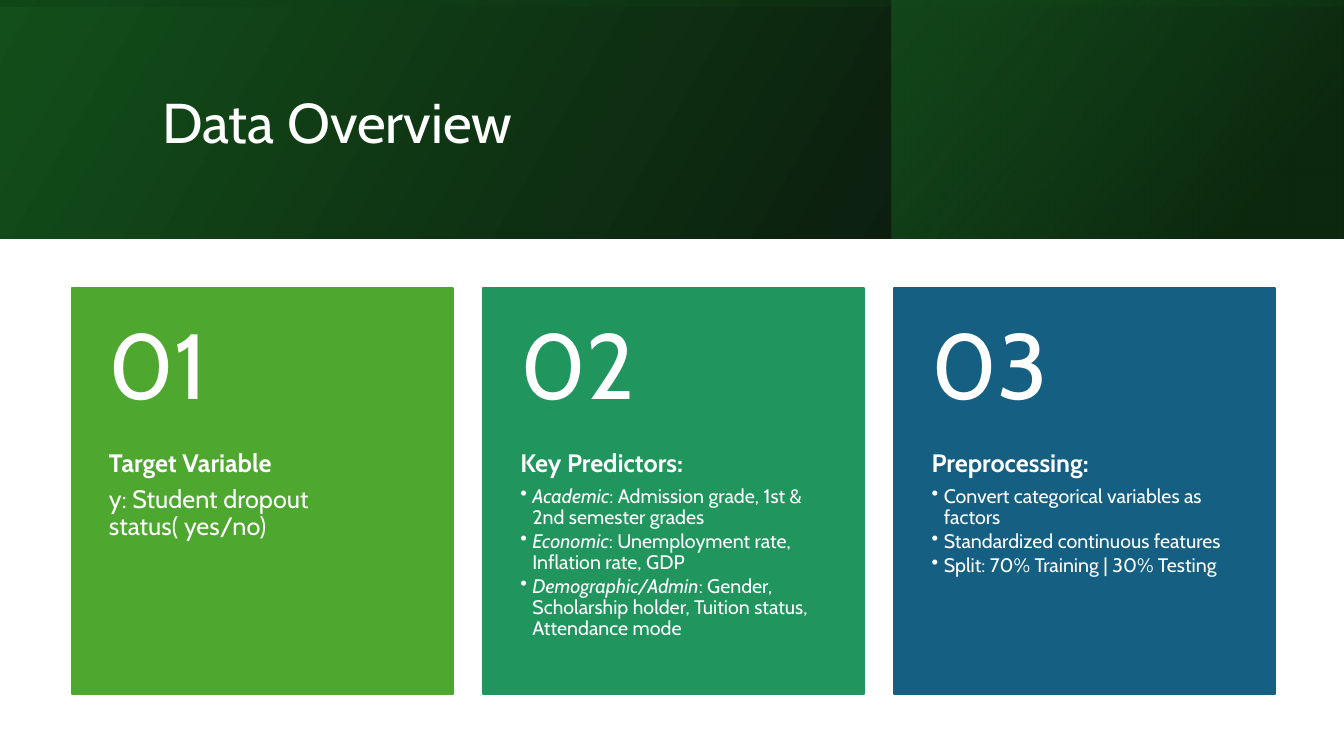
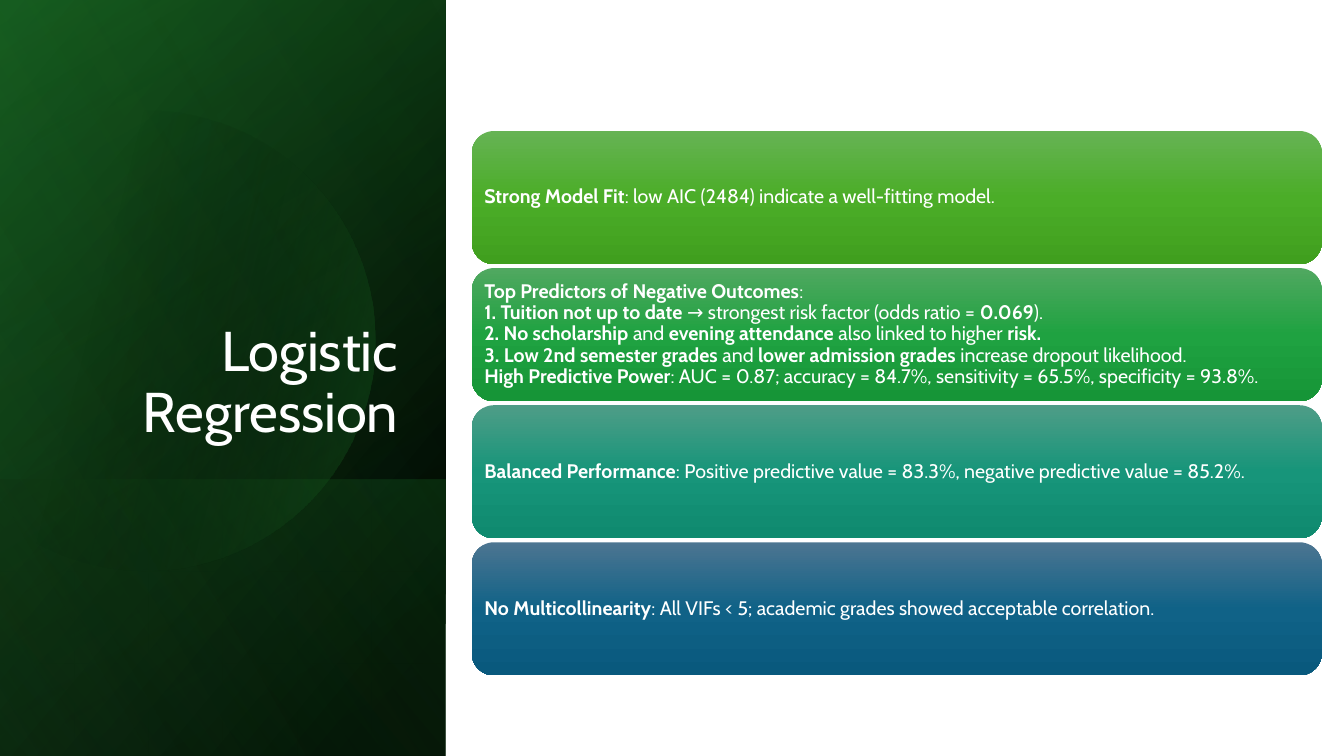
import math
from dataclasses import dataclass
from typing import Optional

from lxml import etree
from pptx import Presentation
from pptx.dml.color import RGBColor
from pptx.enum.shapes import MSO_SHAPE
from pptx.enum.text import MSO_ANCHOR, MSO_AUTO_SIZE, PP_ALIGN
from pptx.oxml.ns import qn
from pptx.util import Inches, Pt

RECT, ROUND = MSO_SHAPE.RECTANGLE, MSO_SHAPE.ROUNDED_RECTANGLE
TOP, MIDDLE, BOTTOM = MSO_ANCHOR.TOP, MSO_ANCHOR.MIDDLE, MSO_ANCHOR.BOTTOM
LEFT, RIGHT = PP_ALIGN.LEFT, PP_ALIGN.RIGHT
NO_FIT = MSO_AUTO_SIZE.NONE

FONT = "Cabin"
WHITE, BLACK = "FFFFFF", "000000"
FOREST, GREEN, MINT = "13501B", "196B24", "47D45A"
WIDE, HIGH = 13.33, 7.5
BAND, SIDE = 2.37, 4.42  # top band height, side band width

Box = tuple[float, float, float, float]


@dataclass
class Stop:
    pos: int
    color: str
    alpha: int = 100


@dataclass
class Panel:
    box: Box  # as seen, after turning
    stops: list[Stop]
    angle: int
    turn: int = 0


@dataclass
class Card:
    color: str
    head: str
    lines: list[str]
    listed: bool = True


@dataclass
class Row:
    shades: tuple[str, str, str]
    lines: list[str]


@dataclass
class Style:
    size: int
    bold: bool = False
    after: float = 0
    align: PP_ALIGN = LEFT
    bullet: Optional[str] = None


TITLE = Style(40)
NUMBER = Style(66)
HEAD = Style(18, bold=True, after=6)
PLAIN = Style(18, after=6)
ITEM = Style(14, after=2, bullet="•")
NOTE = Style(14)

TOP_BAND = [
    Panel((0, 0, WIDE, BAND), [Stop(0, BLACK, 96), Stop(100, FOREST)], 330),
    Panel((8.84, 0, 4.48, BAND), [Stop(19, "0D3612", 68), Stop(100, GREEN, 48)], 320),
    Panel((0, 0, WIDE, BAND), [Stop(23, FOREST, 16), Stop(99, BLACK, 45)], 350, 270),
]
SIDE_BAND = [
    Panel((0, 0, SIDE, HIGH), [Stop(8, BLACK), Stop(100, FOREST)], 50, 90),
    Panel((0, 0, SIDE, HIGH), [Stop(0, BLACK, 0), Stop(99, GREEN, 46)], 30, 90),
    Panel((0, 4.76, SIDE, 2.74), [Stop(2, GREEN, 29), Stop(100, BLACK, 30)], 130, 90),
]
GLOW = Panel((0, 0, SIDE, HIGH), [Stop(0, BLACK, 0), Stop(99, MINT, 11)], 120, 90)
DISC = [Stop(29, BLACK, 0), Stop(100, GREEN, 43)]

# Asterisks mark the stressed words
CARDS = [
    Card("4EA72E", "Target Variable", ["y: Student dropout status( yes/no)"], False),
    Card("20965E", "Key Predictors:", [
        "*Academic*: Admission grade, 1st & 2nd semester grades",
        "*Economic*: Unemployment rate, Inflation rate, GDP",
        "*Demographic/Admin*: Gender, Scholarship holder, Tuition status, Attendance mode",
    ]),
    Card("156082", "Preprocessing:", [
        "Convert categorical variables as factors",
        "Standardized continuous features",
        "Split: 70% Training | 30% Testing",
    ]),
]
ROWS = [
    Row(("66B354", "4BAD28", "409F1E"),
        ["*Strong Model Fit*: low AIC (2484) indicate a well-fitting model."]),
    Row(("50A860", "1FA241", "169537"), [
        "*Top Predictors of Negative Outcomes*:",
        "*1. Tuition not up to date* → strongest risk factor (odds ratio = *0.069*).",
        "*2. No scholarship* and *evening attendance* also linked to higher *risk.*",
        "*3. Low 2nd semester grades* and *lower admission grades* increase dropout likelihood.",
        "*High Predictive Power*: AUC = 0.87; accuracy = 84.7%, sensitivity = 65.5%, "
        "specificity = 93.8%.",
    ]),
    Row(("4E9D87", "17957A", "0F8A6F"),
        ["*Balanced Performance*: Positive predictive value = 83.3%, "
         "negative predictive value = 85.2%."]),
    Row(("4C7591", "106287", "09597D"),
        ["*No Multicollinearity*: All VIFs < 5; academic grades showed acceptable correlation."]),
]


def rgb(color: str) -> RGBColor:
    return RGBColor.from_string(color)


def place(box: Box) -> list[int]:
    return [Inches(side) for side in box]


def shade(shape, stops: list[Stop], angle: int) -> None:
    """Fill with a linear gradient, angle clockwise, and no outline."""
    shape.shadow.inherit = False
    shape.line.fill.background()
    shape.fill.gradient()
    shape.fill.gradient_angle = 360 - angle
    ramp = shape.element.spPr.find(".//" + qn("a:gsLst"))
    for old in list(ramp):
        ramp.remove(old)
    for stop in stops:
        mark = etree.SubElement(ramp, qn("a:gs"), pos=str(stop.pos * 1000))
        tint = etree.SubElement(mark, qn("a:srgbClr"), val=stop.color)
        if stop.alpha < 100:
            etree.SubElement(tint, qn("a:alpha"), val=str(stop.alpha * 1000))


def add_panel(slide, panel: Panel) -> None:
    left, top, wide, high = panel.box
    if panel.turn:  # swap the sides about the same centre
        shift = (wide - high) / 2
        left, top, wide, high = left + shift, top - shift, high, wide
    shape = slide.shapes.add_shape(RECT, *place((left, top, wide, high)))
    shape.rotation = panel.turn
    shape.element.spPr.get_or_add_xfrm().set("flipH", "1")
    shade(shape, panel.stops, panel.angle)


def add_disc(slide) -> None:
    """Draw a circle cut off at the left edge of the slide."""
    mid_x, mid_y, radius = 1.44, 3.38, 2.28
    edge = math.acos(-mid_x / radius)
    steps = 90
    arc = [edge * (2 * i / steps - 1) for i in range(steps + 1)]
    dots = [(Inches(mid_x + radius * math.cos(a)), Inches(mid_y + radius * math.sin(a)))
            for a in arc]
    pen = slide.shapes.build_freeform(*dots[0])
    pen.add_line_segments(dots[1:], close=True)
    shade(pen.convert_to_shape(), DISC, 14)


def set_frame(frame, anchor: MSO_ANCHOR, insets: Box) -> None:
    frame.word_wrap = True
    frame.auto_size = NO_FIT
    frame.vertical_anchor = anchor
    (frame.margin_left, frame.margin_top,
     frame.margin_right, frame.margin_bottom) = place(insets)


def write(frame, lines: list[tuple[str, Style]], stress: str = "bold") -> None:
    for i, (text, style) in enumerate(lines):
        para = frame.add_paragraph() if i else frame.paragraphs[0]
        para.alignment = style.align
        para.line_spacing = 0.9
        para.space_before = Pt(0)
        para.space_after = Pt(style.after)
        if style.bullet:
            props = para._p.get_or_add_pPr()
            props.set("marL", str(Inches(0.12)))
            props.set("indent", str(-Inches(0.12)))
            etree.SubElement(props, qn("a:buChar"), char=style.bullet)
        font = para.font
        font.name, font.size, font.bold = FONT, Pt(style.size), style.bold
        font.color.rgb = rgb(WHITE)
        for j, part in enumerate(text.split("*")):
            if part:
                run = para.add_run()
                run.text = part
                if j % 2:
                    setattr(run.font, stress, True)


def add_title(slide, text: str, box: Box, anchor: MSO_ANCHOR, align: PP_ALIGN) -> None:
    title = slide.shapes.title
    title.left, title.top, title.width, title.height = place(box)
    set_frame(title.text_frame, anchor, (0.1, 0.05, 0.1, 0.05))
    write(title.text_frame, [(text, Style(TITLE.size, align=align))])
    # Bring the title in front of the bands
    tree = title.element.getparent()
    tree.append(title.element)


def add_text(slide, box: Box, anchor: MSO_ANCHOR, insets: Box,
             lines: list[tuple[str, Style]]) -> None:
    frame = slide.shapes.add_textbox(*place(box)).text_frame
    set_frame(frame, anchor, insets)
    write(frame, lines, "italic")


def add_card(slide, index: int, card: Card) -> None:
    left, top, wide, high, split = 0.71 + 4.08 * index, 2.86, 3.78, 4.03, 1.61
    shape = slide.shapes.add_shape(RECT, *place((left, top, wide, high)))
    shape.shadow.inherit = False
    shape.fill.solid()
    shape.fill.fore_color.rgb = shape.line.color.rgb = rgb(card.color)
    shape.line.width = Pt(1.5)
    style = ITEM if card.listed else PLAIN
    body = [(card.head, HEAD)] + [(line, style) for line in card.lines]
    add_text(slide, (left, top + split, wide, high - split), TOP,
             (0.37, 0, 0.37, 0.36), body)
    add_text(slide, (left, top, wide, split), MIDDLE,
             (0.37, 0.18, 0.37, 0.18), [(f"{index + 1:02}", NUMBER)])


def add_row(slide, index: int, row: Row) -> None:
    shape = slide.shapes.add_shape(ROUND, *place((4.68, 1.3 + 1.36 * index, 8.43, 1.32)))
    shade(shape, [Stop(50 * i, color) for i, color in enumerate(row.shades)], 90)
    set_frame(shape.text_frame, MIDDLE, (0.06, 0.06, 0.06, 0.06))
    write(shape.text_frame, [(line, NOTE) for line in row.lines])


def main() -> None:
    deck = Presentation()
    deck.slide_width, deck.slide_height = Inches(WIDE), Inches(HIGH)
    layout = deck.slide_layouts[5]  # title only

    # Data overview
    slide = deck.slides.add_slide(layout)
    for panel in TOP_BAND:
        add_panel(slide, panel)
    add_title(slide, "Data Overview", (1.51, 0.38, 10.63, 1.72), MIDDLE, LEFT)
    for i, card in enumerate(CARDS):
        add_card(slide, i, card)

    # Logistic regression
    slide = deck.slides.add_slide(layout)
    for panel in SIDE_BAND:
        add_panel(slide, panel)
    add_disc(slide)
    add_panel(slide, GLOW)
    add_title(slide, "Logistic Regression", (0.64, 1.84, 3.41, 2.62), BOTTOM, RIGHT)
    for i, row in enumerate(ROWS):
        add_row(slide, i, row)

    deck.save("out.pptx")


if __name__ == "__main__":
    main()
